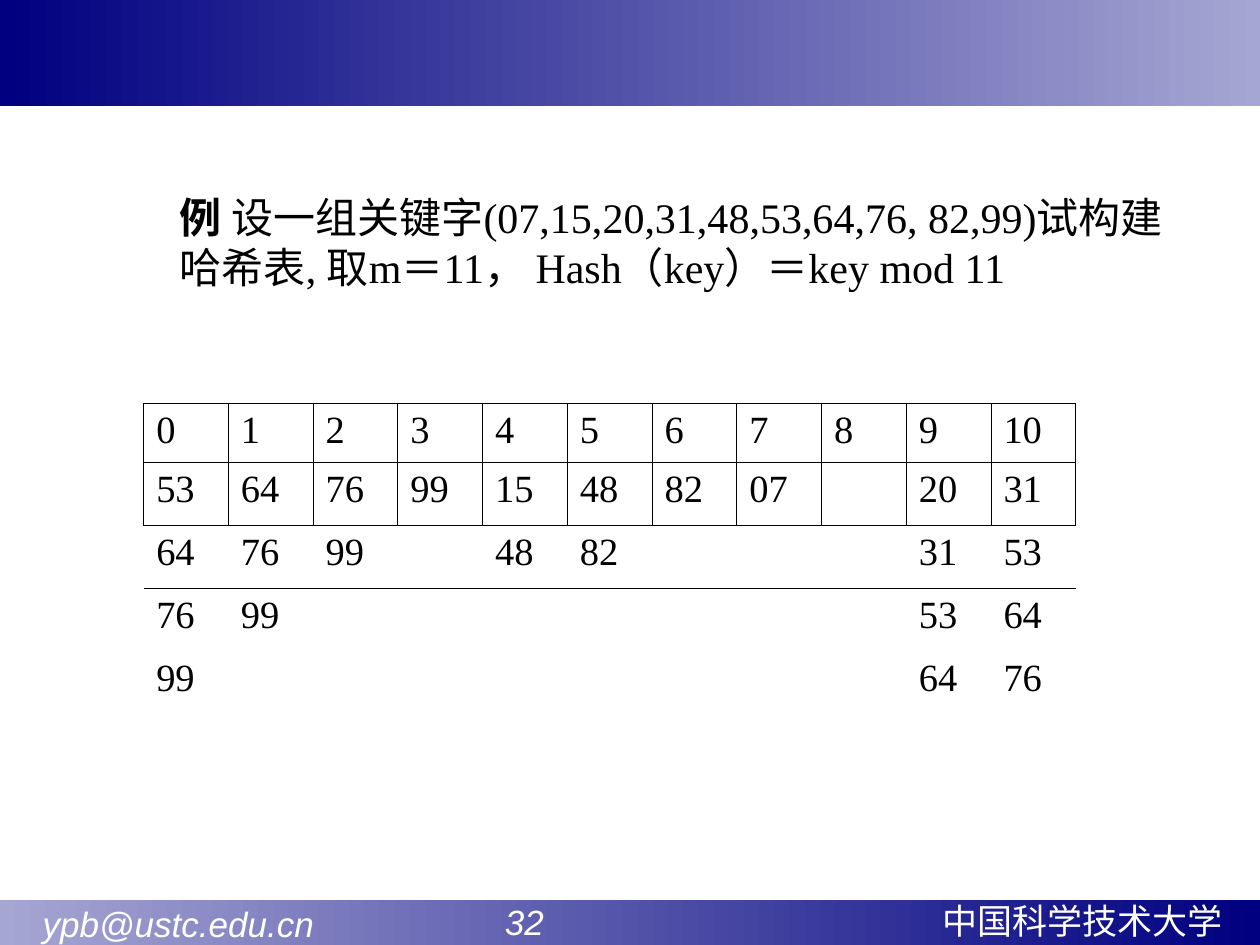
from lxml import etree
from pptx import Presentation
from pptx import util as u
from pptx.dml.color import RGBColor
from pptx.enum import shapes, text
from pptx.oxml import ns

NAVY = RGBColor(0x00, 0x00, 0x80)
LAVENDER = RGBColor(0xA6, 0xA6, 0xD3)
WHITE = RGBColor(0xFF, 0xFF, 0xFF)
BLACK = RGBColor(0x00, 0x00, 0x00)
NO_STYLE = "{2D5ABB26-0587-4C30-8999-92F81FD0307C}"


def add_run(paragraph, words, font_name, size, color, bold=False, italic=False):
    run = paragraph.add_run()
    run.text = words
    run.font.name = font_name
    run.font.size = u.Pt(size)
    run.font.color.rgb = color
    run.font.bold = bold
    run.font.italic = italic


def add_text_box(left, top, width, height):
    box = slide.shapes.add_textbox(
        u.Inches(left), u.Inches(top), u.Inches(width), u.Inches(height))
    box.text_frame.word_wrap = True
    return box.text_frame.paragraphs[0]


presentation = Presentation()
presentation.slide_width = u.Inches(10)
presentation.slide_height = u.Inches(7.5)
slide = presentation.slides.add_slide(presentation.slide_layouts[6])

for top, height, colors in [(7.14, 0.39, (LAVENDER, NAVY)), (0, 0.84, (NAVY, LAVENDER))]:
    band = slide.shapes.add_shape(
        shapes.MSO_SHAPE.RECTANGLE, 0, u.Inches(top), u.Inches(10), u.Inches(height))
    band.shadow.inherit = False
    band.line.fill.background()
    band.fill.gradient()
    band.fill.gradient_angle = 0
    for stop, position, color in zip(band.fill.gradient_stops, (0, 1), colors):
        stop.position = position
        stop.color.rgb = color

for left, top, width, words, italic in [
    (7.38, 7.09, 2.57, "中国科学技术大学", False),
    (3.91, 7.1, 1.47, "32", True),
    (0.24, 7.11, 2.43, "ypb@ustc.edu.cn", True),
]:
    paragraph = add_text_box(left, top, width, 0.44)
    add_run(paragraph, words, "Arial", 20, WHITE, italic=italic)

hash_rows = [
    [str(address) for address in range(11)],
    ["53", "64", "76", "99", "15", "48", "82", "07", "", "20", "31"],
    ["64", "76", "99", "", "48", "82", "", "", "", "31", "53"],
    ["76", "99"] + [""] * 7 + ["53", "64"],
    ["99"] + [""] * 8 + ["64", "76"],
    [""] * 11,
]
frame = slide.shapes.add_table(
    len(hash_rows), 11, u.Inches(1.14), u.Inches(3.2), u.Inches(7.4), u.Inches(2.96))
table = frame.table
table.first_row = False
table.horz_banding = False
table._tbl.tblPr.find(ns.qn("a:tableStyleId")).text = NO_STYLE

for column in table.columns:
    column.width = u.Inches(7.4 / 11)
for row_index, values in enumerate(hash_rows):
    table.rows[row_index].height = u.Inches(0.46 if row_index == 0 else 0.5)
    for column_index, value in enumerate(values):
        cell = table.cell(row_index, column_index)
        cell.fill.background()
        if value:
            paragraph = cell.text_frame.paragraphs[0]
            paragraph.alignment = text.PP_ALIGN.JUSTIFY
            add_run(paragraph, value, "Times New Roman", 22, BLACK)
        sides = ("LRTB", "LRTB", "T")[row_index] if row_index < 3 else ""
        properties = cell._tc.get_or_add_tcPr()
        for position, side in enumerate(sides):
            border = etree.Element(ns.qn(f"a:ln{side}"), w=str(u.Pt(0.45)))
            fill = etree.SubElement(border, ns.qn("a:solidFill"))
            etree.SubElement(fill, ns.qn("a:srgbClr"), val=str(BLACK))
            properties.insert(position, border)

paragraph = add_text_box(0.83, 1.47, 8.51, 0.9)
paragraph.level = 1
paragraph_properties = paragraph._p.get_or_add_pPr()
paragraph_properties.set("marL", str(u.Inches(0.5)))
paragraph_properties.set("indent", "0")
add_run(paragraph, "例 ", "Times New Roman", 24, BLACK, bold=True)
add_run(
    paragraph,
    "设一组关键字(07,15,20,31,48,53,64,76, 82,99)试构建哈希表, "
    "取m＝11， Hash（key）＝key mod 11",
    "Times New Roman", 24, BLACK)

presentation.save("out.pptx")
